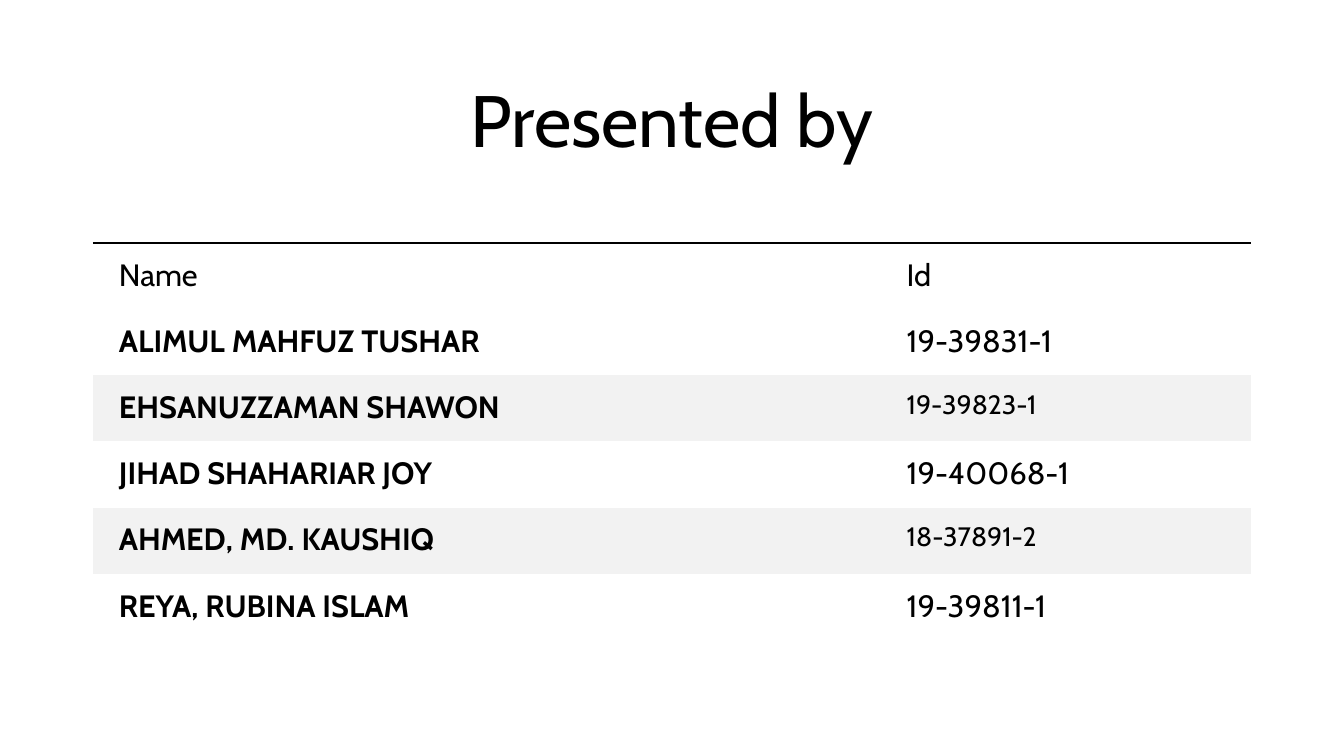
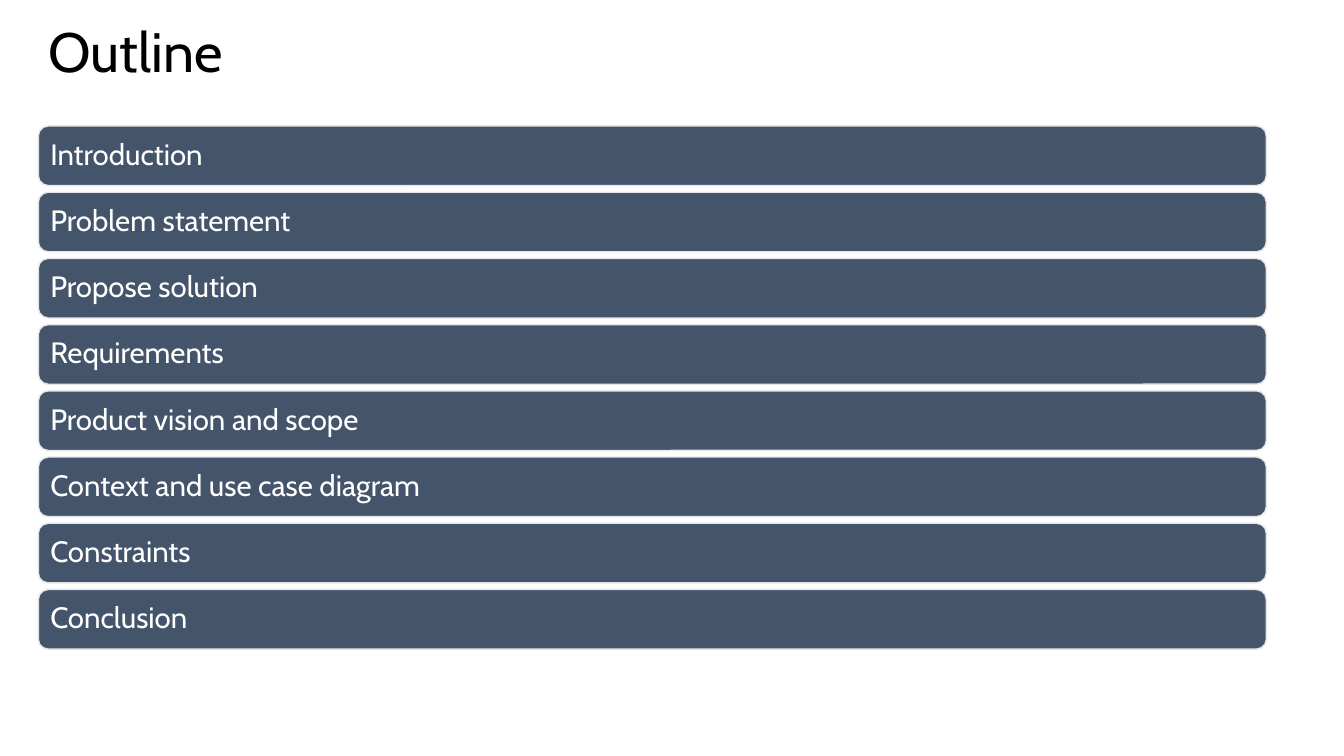
from collections import namedtuple

from lxml.etree import SubElement
from pptx import Presentation
from pptx.dml.color import RGBColor
from pptx.enum.shapes import MSO_SHAPE as Preset
from pptx.enum.text import MSO_ANCHOR as Anchor, MSO_AUTO_SIZE as AutoSize, PP_ALIGN as Align
from pptx.oxml.ns import qn
from pptx.util import Inches, Pt

SLIDE_W, SLIDE_H = 13.33, 7.5
FONT = "Cabin"
INK, PAPER, BAND, BAR, BAR_EDGE = "000000", "FFFFFF", "F2F2F2", "44546A", "E7E6E6"

Box = namedtuple("Box", "left top width height")

MEMBERS = [
    ("Name", "Id"),
    ("ALIMUL MAHFUZ TUSHAR", "19-39831-1"),
    ("EHSANUZZAMAN SHAWON", "19-39823-1"),
    ("JIHAD SHAHARIAR JOY", "19-40068-1"),
    ("AHMED, MD. KAUSHIQ", "18-37891-2"),
    ("REYA, RUBINA ISLAM", "19-39811-1"),
]
TOPICS = [
    "Introduction",
    "Problem statement",
    "Propose solution",
    "Requirements",
    "Product vision and scope",
    "Context and use case diagram",
    "Constraints",
    "Conclusion",
]


def paint(color_format, hex_color):
    color_format.rgb = RGBColor.from_string(hex_color)


def fill_solid(part, hex_color):
    part.fill.solid()
    paint(part.fill.fore_color, hex_color)


def inches(box):
    return [Inches(length) for length in box]


def write(frame, text, size, color=INK, bold=False, align=Align.LEFT, spacing=0.9):
    frame.text = text
    paragraph = frame.paragraphs[0]
    paragraph.alignment = align
    paragraph.line_spacing = spacing
    font = paragraph.font
    font.name, font.size, font.bold = FONT, Pt(size), bold
    paint(font.color, color)


def add_titled_slide(deck, title, box, size, align):
    slide = deck.slides.add_slide(deck.slide_layouts[5])
    heading = slide.shapes.title
    heading.left, heading.top, heading.width, heading.height = inches(box)
    frame = heading.text_frame
    frame.auto_size = AutoSize.NONE
    frame.vertical_anchor = Anchor.MIDDLE
    write(frame, title, size, align=align)
    return slide


def set_borders(cell, top_rule):
    properties = cell._tc.get_or_add_tcPr()
    for position, side in enumerate(("lnL", "lnR", "lnT", "lnB")):
        border = SubElement(properties, qn(f"a:{side}"))
        properties.insert(position, border)
        if side == "lnT" and top_rule:
            border.set("w", str(Pt(2.25)))
            solid = SubElement(border, qn("a:solidFill"))
            SubElement(solid, qn("a:srgbClr")).set("val", INK)
        else:
            border.set("w", "0")
            SubElement(border, qn("a:noFill"))


def add_members_table(slide, box, members, name_share):
    table = slide.shapes.add_table(len(members), 2, *inches(box)).table
    table.first_row = table.horz_banding = False
    for column, share in zip(table.columns, (name_share, 1 - name_share)):
        column.width = Inches(box.width * share)
    for row_index, member in enumerate(members):
        table.rows[row_index].height = Inches(box.height / len(members))
        banded = row_index > 0 and row_index % 2 == 0
        for column_index, text in enumerate(member):
            cell = table.cell(row_index, column_index)
            cell.margin_left = cell.margin_right = Inches(0.26)
            cell.margin_top = cell.margin_bottom = Inches(0.11)
            is_id = column_index == 1
            write(cell.text_frame, text, 19 if banded and is_id else 22,
                  bold=row_index > 0 and not is_id, spacing=1.07)
            if banded:
                fill_solid(cell, BAND)
            else:
                cell.fill.background()
            set_borders(cell, top_rule=row_index == 0)


def add_topic_bars(slide, box, topics, bar_share):
    pitch = box.height / (len(topics) - 1 + bar_share)
    for index, topic in enumerate(topics):
        place = Box(box.left, box.top + index * pitch, box.width, pitch * bar_share)
        bar = slide.shapes.add_shape(Preset.ROUNDED_RECTANGLE, *inches(place))
        bar.shadow.inherit = False
        fill_solid(bar, BAR)
        paint(bar.line.color, BAR_EDGE)
        bar.line.width = Pt(1)
        frame = bar.text_frame
        frame.word_wrap = True
        frame.vertical_anchor = Anchor.MIDDLE
        frame.margin_left = frame.margin_right = Inches(0.09)
        frame.margin_top = frame.margin_bottom = Inches(0.09)
        write(frame, topic, 21, color=PAPER)


def build_presenters(deck):
    margin = 0.92
    width = SLIDE_W - 2 * margin
    slide = add_titled_slide(deck, "Presented by", Box(margin, 0.61, width, 1.24), 52, Align.CENTER)
    add_members_table(slide, Box(margin, 2.41, width, 3.94), MEMBERS, name_share=0.68)


def build_outline(deck):
    left = 0.38
    slide = add_titled_slide(deck, "Outline", Box(left, 0.2, 11.5, 0.68), 39.6, Align.LEFT)
    add_topic_bars(slide, Box(left, 1.25, 12.18, 5.19), TOPICS, bar_share=0.9)


def main():
    deck = Presentation()
    deck.slide_width, deck.slide_height = Inches(SLIDE_W), Inches(SLIDE_H)
    fill_solid(deck.slide_master.background, PAPER)
    build_presenters(deck)
    build_outline(deck)
    deck.save("out.pptx")


if __name__ == "__main__":
    main()
